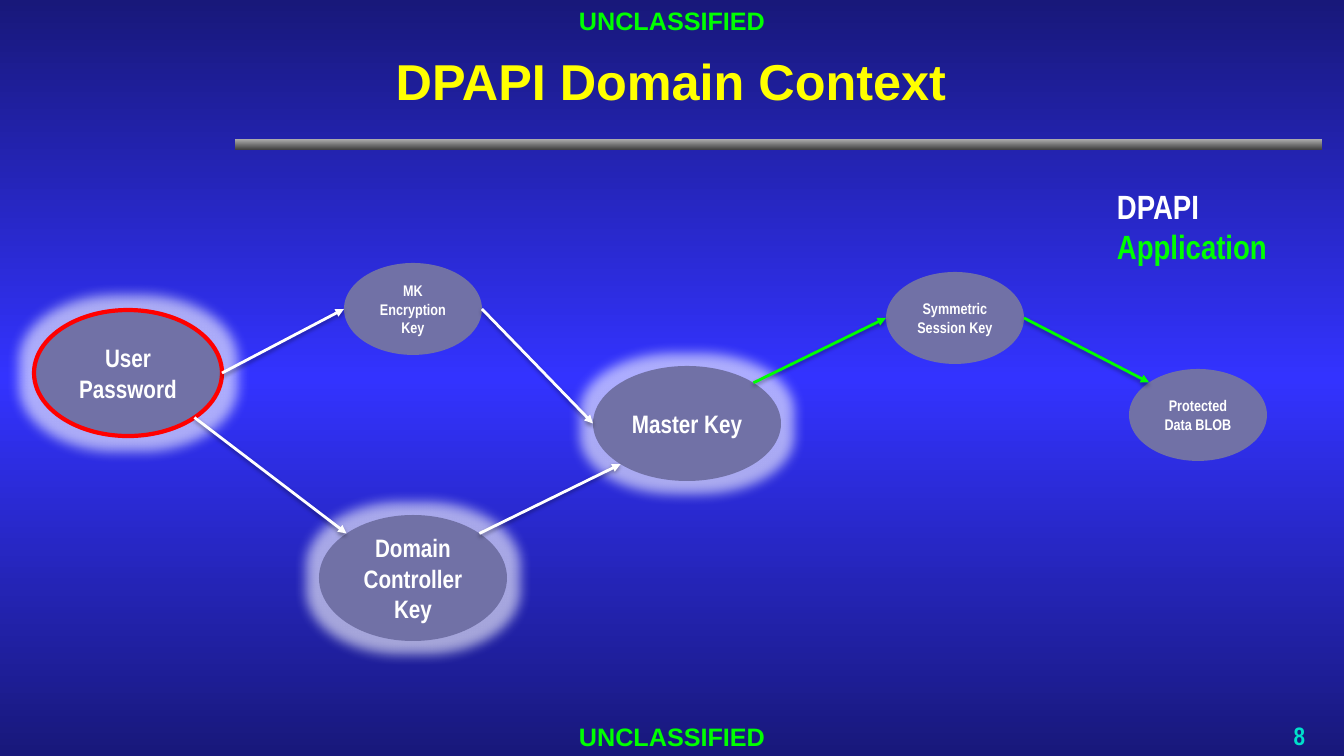
from dataclasses import dataclass
from math import cos, pi, sin

from lxml import etree
from pptx import Presentation
from pptx.dml.color import RGBColor
from pptx.enum.shapes import MSO_CONNECTOR, MSO_SHAPE
from pptx.enum.text import MSO_ANCHOR, PP_ALIGN
from pptx.oxml.ns import qn
from pptx.util import Emu, Pt

OVAL, RECT = MSO_SHAPE.OVAL, MSO_SHAPE.RECTANGLE
STRAIGHT = MSO_CONNECTOR.STRAIGHT
TOP, MIDDLE = MSO_ANCHOR.TOP, MSO_ANCHOR.MIDDLE
LEFT, CENTER, RIGHT = PP_ALIGN.LEFT, PP_ALIGN.CENTER, PP_ALIGN.RIGHT
WIDTH, HEIGHT = 1344, 756
EMU_PER_PX = 12192000 / WIDTH


@dataclass(frozen=True)
class Theme:
    """Colours, fonts and type sizes of the slide."""
    edge: str = "18187A"
    glow_blue: str = "3333FF"
    rule_light: str = "AEAEAE"
    rule_dark: str = "404040"
    green: str = "00FF00"
    yellow: str = "FFFF00"
    teal: str = "00DFCA"
    white: str = "FFFFFF"
    black: str = "000000"
    red: str = "FF0000"
    node: str = "7171A6"
    head_font: str = "Arial"
    body_font: str = "Arial Narrow"
    title: int = 36
    legend: int = 24
    body: int = 18
    small: int = 11


T = Theme()

NODES = {
    "user": ("User Password", (34, 310, 188, 126), T.body, MIDDLE, True, T.red),
    "encryption": ("MK Encryption Key", (344, 263, 138, 92), T.small, TOP, False, None),
    "master": ("Master Key", (593, 366, 188, 115), T.body, MIDDLE, True, None),
    "session": ("Symmetric Session Key", (886, 272, 138, 92), T.small, MIDDLE, False, None),
    "blob": ("Protected Data BLOB", (1129, 369, 138, 92), T.small, MIDDLE, False, None),
    "domain": ("Domain Controller Key", (319, 515, 188, 126), T.body, MIDDLE, True, None),
}
SITES = {"top left": 1, "left": 2, "bottom left": 3, "bottom right": 5, "right": 6, "top right": 7}
ARROWS = [
    ("user", "right", "encryption", "left", T.white),
    ("encryption", "right", "master", "left", T.white),
    ("session", "right", "blob", "top left", T.green),
    ("master", "top right", "session", "left", T.green),
    ("user", "bottom right", "domain", "top left", T.white),
    ("domain", "top right", "master", "bottom left", T.white),
]


def px(*lengths):
    """Turn pixel lengths into EMU."""
    return [Emu(round(n * EMU_PER_PX)) for n in lengths]


def rgb(colour):
    """Turn a hex string into a colour."""
    return RGBColor.from_string(colour)


def add_xml(parent, tag, **attrs):
    """Append a DrawingML child and return it."""
    return etree.SubElement(parent, qn(tag), {k: str(v) for k, v in attrs.items()})


def add_colour(parent, colour, alpha=None):
    """Append a colour with optional opacity in percent."""
    clr = add_xml(parent, "a:srgbClr", val=colour)
    if alpha is not None:
        add_xml(clr, "a:alpha", val=alpha * 1000)


def vertical_gradient(fill, owner, stops):
    """Fill from top to bottom with (percent, colour) stops."""
    fill.gradient()
    fill.gradient_angle = 270
    gs_lst = owner.find(".//" + qn("a:gsLst"))
    for gs in list(gs_lst):
        gs_lst.remove(gs)
    for pos, colour in stops:
        add_colour(add_xml(gs_lst, "a:gs", pos=pos * 1000), colour)


def write(tf, lines, size, font, align, anchor, wrap=True):
    """Write one paragraph for each (text, colour) line."""
    tf.word_wrap = wrap
    tf.vertical_anchor = anchor
    for i, (text, colour) in enumerate(lines):
        p = tf.add_paragraph() if i else tf.paragraphs[0]
        p.alignment = align
        r = p.add_run()
        r.text = text
        r.font.name, r.font.size, r.font.bold = font, Pt(size), True
        r.font.color.rgb = rgb(colour)


def add_text(s, box, *style, **options):
    """Place a text box and return its text frame."""
    tf = s.shapes.add_textbox(*px(*box)).text_frame
    write(tf, *style, **options)
    return tf


def add_frame(s, box):
    """Draw the background, markings, rule and slide number."""
    x, y, w, h = box
    vertical_gradient(s.background.fill, s.element,
                      [(0, T.edge), (50, T.glow_blue), (100, T.edge)])
    rule = s.shapes.add_shape(RECT, *px(x + 235, y + 139, 1087, 11))
    rule.shadow.inherit = False
    rule.line.fill.background()
    vertical_gradient(rule.fill, rule.element, [(0, T.rule_light), (98, T.rule_dark)])
    for top in (y, y + h - 40):
        add_text(s, (x, top, w, 40), [("UNCLASSIFIED", T.green)],
                 T.body, T.head_font, CENTER, MIDDLE)
    tf = add_text(s, (x + w - 74, y + h - 35, 45, 34), [("8", T.teal)],
                  T.body, T.body_font, RIGHT, MIDDLE, wrap=False)
    tf.paragraphs[0].line_spacing = 0.8


def add_title(s, box):
    """Write the slide title."""
    tf = add_text(s, box, [("DPAPI Domain Context", T.yellow)],
                  T.title, T.head_font, CENTER, MIDDLE)
    tf.paragraphs[0].line_spacing = Pt(37)


def add_legend(s, box):
    """Write the key to the arrow colours."""
    add_text(s, box, [("DPAPI", T.white), ("Application", T.green)],
             T.legend, T.body_font, LEFT, TOP)


def add_node(s, text, box, size, anchor, glowing, outline):
    """Draw one labelled ellipse."""
    sp = s.shapes.add_shape(OVAL, *px(*box))
    sp.shadow.inherit = False
    sp.fill.solid()
    sp.fill.fore_color.rgb = rgb(T.node)
    if outline:
        sp.line.color.rgb = rgb(outline)
        sp.line.width = Pt(3)
    else:
        sp.line.fill.background()
    if glowing:
        effects = sp.element.spPr.find(qn("a:effectLst"))
        add_colour(add_xml(effects, "a:glow", rad=Pt(18)), T.white, 60)
    write(sp.text_frame, [(text, T.white)], size, T.body_font, CENTER, anchor)
    return sp


def site_point(sp, site):
    """Find a connection site on an ellipse, counted anticlockwise from the top."""
    angle = pi / 2 + site * pi / 4
    return (round(sp.left + sp.width / 2 * (1 + cos(angle))),
            round(sp.top + sp.height / 2 * (1 - sin(angle))))


def add_arrow(s, start, start_site, end, end_site, colour):
    """Join two ellipses with a shadowed arrow."""
    ends = (("a:stCxn", start, SITES[start_site]), ("a:endCxn", end, SITES[end_site]))
    points = [n for _, sp, site in ends for n in site_point(sp, site)]
    cxn = s.shapes.add_connector(STRAIGHT, *points)
    for tag, sp, site in ends:
        add_xml(cxn.element.nvCxnSpPr.cNvCxnSpPr, tag, id=sp.shape_id, idx=site)
    cxn.line.color.rgb = rgb(colour)
    cxn.line.width = Pt(2)
    sp_pr = cxn.element.spPr
    add_xml(sp_pr.find(qn("a:ln")), "a:tailEnd", type="triangle")
    shadow = add_xml(add_xml(sp_pr, "a:effectLst"), "a:outerShdw", blurRad=40000,
                     dist=20000, dir=5400000, rotWithShape=0)
    add_colour(shadow, T.black, 38)


def add_key_chain(s, box):
    """Draw the keys and the arrows between them."""
    x, y = box[:2]
    nodes = {}
    for name, (text, (left, top, w, h), *style) in NODES.items():
        nodes[name] = add_node(s, text, (x + left, y + top, w, h), *style)
    for start, start_site, end, end_site, colour in ARROWS:
        add_arrow(s, nodes[start], start_site, nodes[end], end_site, colour)


def main():
    """Build and save the slide."""
    prs = Presentation()
    prs.slide_width, prs.slide_height = px(WIDTH, HEIGHT)
    s = prs.slides.add_slide(prs.slide_layouts[6])
    add_frame(s, (0, 0, WIDTH, HEIGHT))
    add_title(s, (235, 22, 872, 126))
    add_legend(s, (1107, 181, 200, 92))
    add_key_chain(s, (0, 0, WIDTH, HEIGHT))
    prs.save("out.pptx")


if __name__ == "__main__":
    main()
